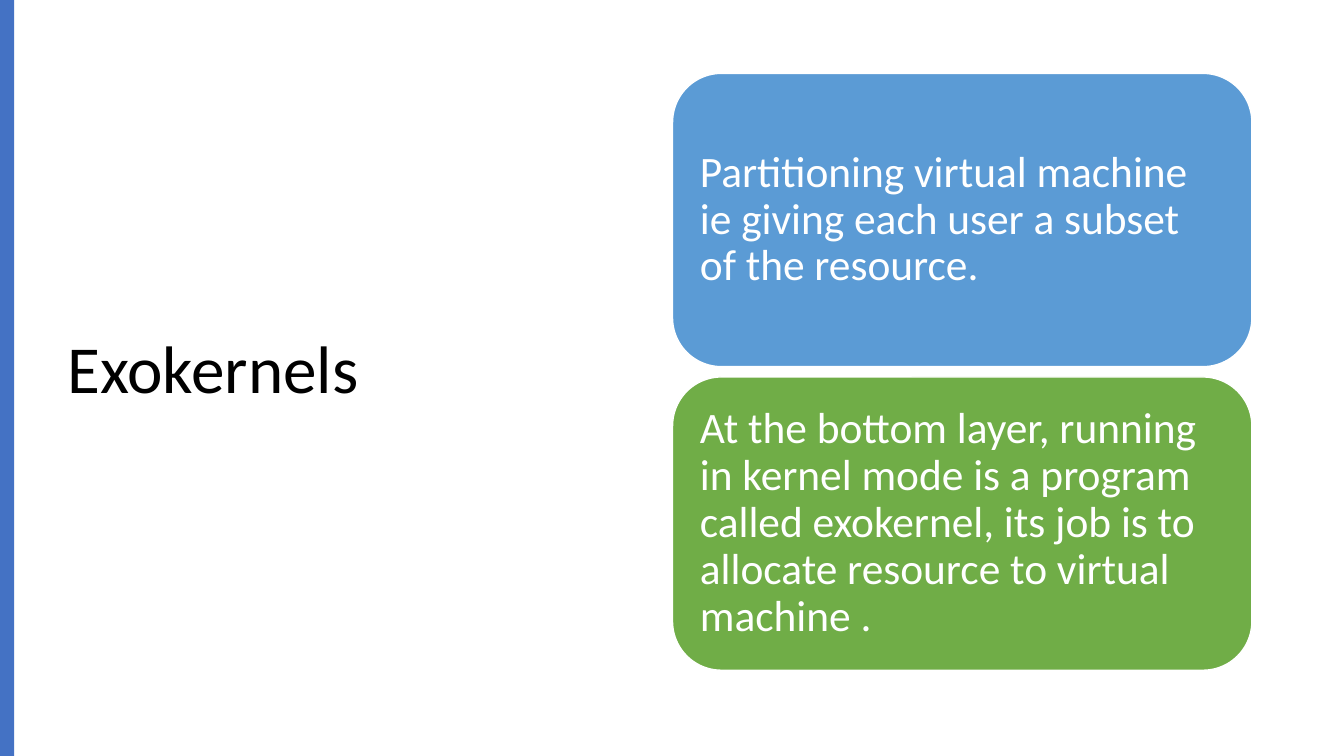
"""Build the Exokernels slide: a title on the left and two cards on the right."""
import pptx
import pptx.dml.color
import pptx.enum.shapes
import pptx.enum.text
import pptx.util

Cm = pptx.util.Cm
Pt = pptx.util.Pt
COLORS = {"bar": "4472C4", "blue": "5B9BD5", "green": "70AD47", "white": "FFFFFF", "black": "000000"}
CARDS = [
    ("blue", "Partitioning virtual machine ie giving each user a subset  of the resource."),
    ("green", "At the bottom layer, running in kernel mode is a program called exokernel, "
              "its job is to allocate resource to virtual machine ."),
]


def rgb(name):
    """Return the named colour."""
    return pptx.dml.color.RGBColor.from_string(COLORS[name])


def write_text(shape, text, size, color, inset):
    """Write one left-aligned, vertically centred paragraph into a shape."""
    frame = shape.text_frame
    frame.word_wrap = True
    frame.vertical_anchor = pptx.enum.text.MSO_ANCHOR.MIDDLE
    frame.margin_left = frame.margin_right = inset
    frame.margin_top = frame.margin_bottom = inset
    paragraph = frame.paragraphs[0]
    paragraph.text = text
    paragraph.alignment = pptx.enum.text.PP_ALIGN.LEFT
    paragraph.line_spacing = 0.9
    paragraph.font.name = "Calibri"
    paragraph.font.size = Pt(size)
    paragraph.font.color.rgb = rgb(color)


def add_side_bar(slide, left, top, width, height):
    """Add the plain accent bar along the edge."""
    bar = slide.shapes.add_shape(pptx.enum.shapes.MSO_SHAPE.RECTANGLE, left, top, width, height)
    bar.shadow.inherit = False
    bar.fill.solid()
    bar.fill.fore_color.rgb = rgb("bar")
    bar.line.fill.background()


def add_title(slide, left, top, width, height):
    """Add the slide title, centred vertically in its box."""
    title = slide.shapes.add_textbox(left, top, width, height)
    write_text(title, "Exokernels", 48, "black", Cm(0.25))


def add_cards(slide, left, top, width, height, gap):
    """Stack the cards at equal heights within the box."""
    card_height = (height - gap * (len(CARDS) - 1)) // len(CARDS)
    for index, (color, text) in enumerate(CARDS):
        card = slide.shapes.add_shape(
            pptx.enum.shapes.MSO_SHAPE.ROUNDED_RECTANGLE,
            left, top + index * (card_height + gap), width, card_height)
        card.shadow.inherit = False
        card.fill.solid()
        card.fill.fore_color.rgb = rgb(color)
        card.line.color.rgb = rgb("white")
        card.line.width = Pt(1)
        write_text(card, text, 31, "white", Cm(0.33))


def main():
    """Create the presentation and save it."""
    presentation = pptx.Presentation()
    presentation.slide_width = Cm(33.87)
    presentation.slide_height = Cm(19.05)
    slide = presentation.slides.add_slide(presentation.slide_layouts[6])
    add_title(slide, Cm(1.45), Cm(1.73), Cm(14.4), Cm(15.29))
    add_side_bar(slide, Cm(0), Cm(0), Cm(0.36), presentation.slide_height)
    add_cards(slide, Cm(16.95), Cm(1.85), Cm(14.6), Cm(15.04), Cm(0.26))
    presentation.save("out.pptx")


if __name__ == "__main__":
    main()
